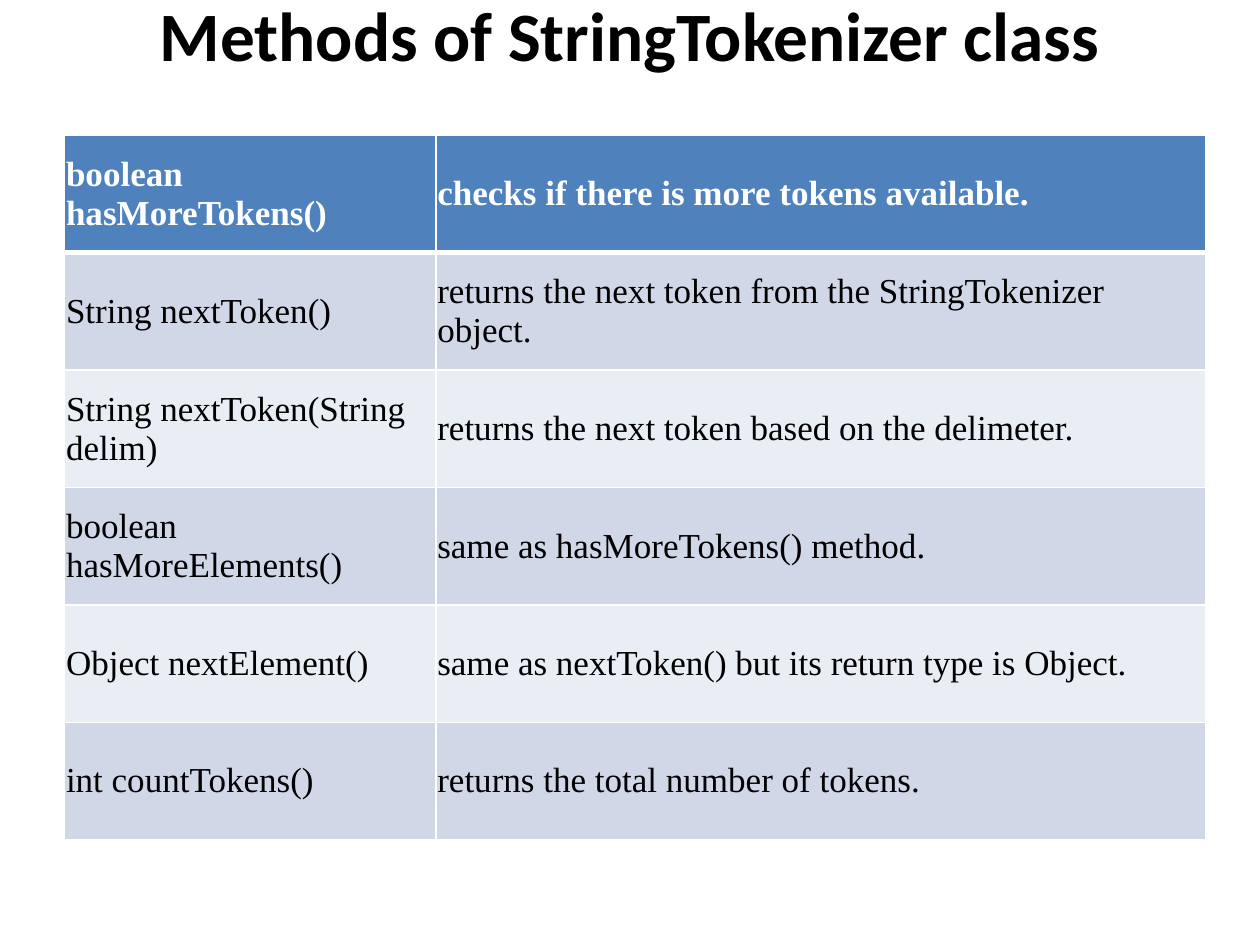
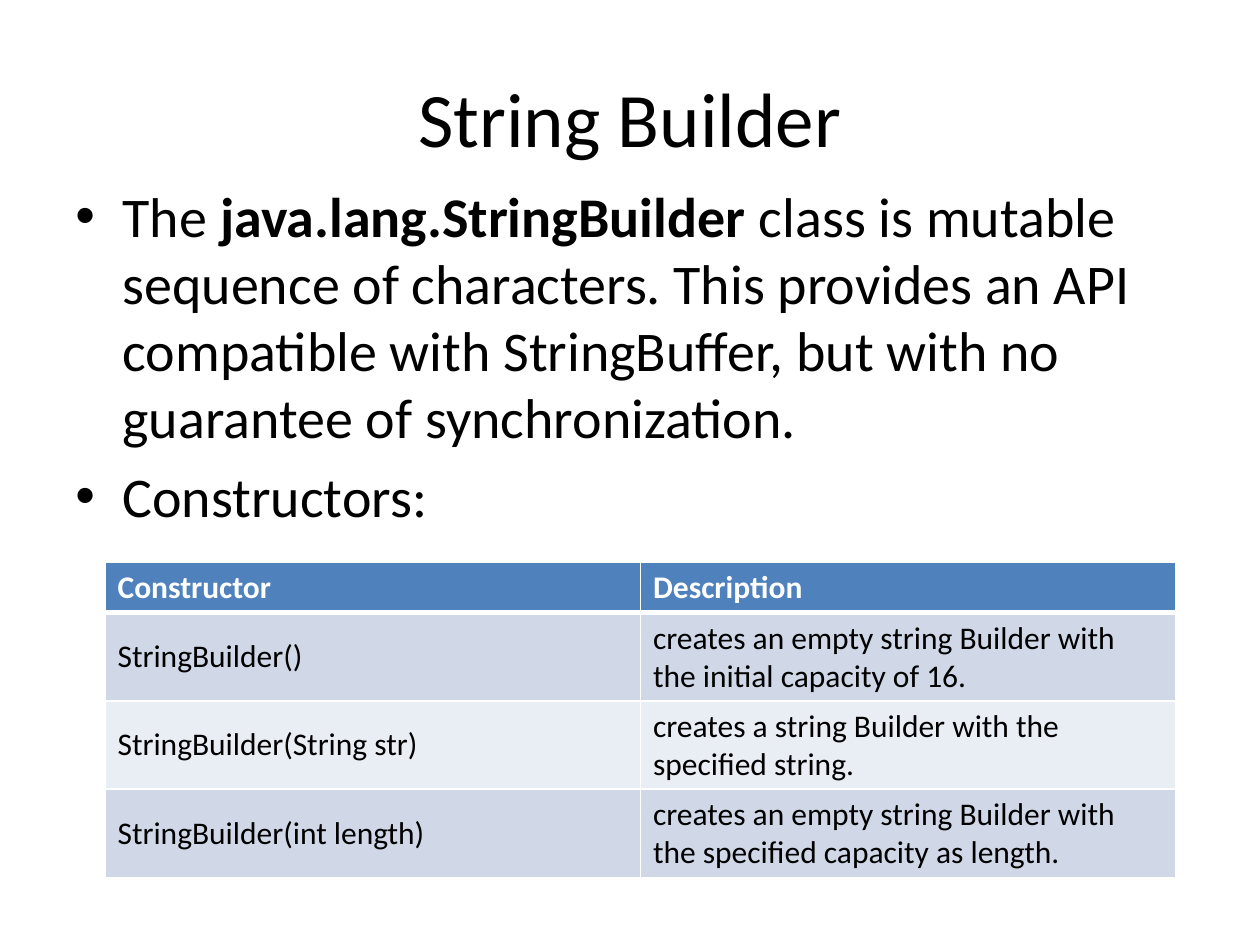
from pptx import Presentation
from pptx.dml.color import RGBColor
from pptx.enum import text as t
from pptx.oxml import parse_xml
from pptx.oxml import ns
from pptx.util import Pt

# Shared style
BLACK = RGBColor(0x00, 0x00, 0x00)
WHITE = RGBColor(0xFF, 0xFF, 0xFF)
HEADER_BLUE = RGBColor(0x4F, 0x81, 0xBD)
BAND_DARK = RGBColor(0xD0, 0xD8, 0xE8)
BAND_LIGHT = RGBColor(0xE9, 0xED, 0xF4)
SANS = "Calibri"
SERIF = "Times New Roman"
MARGIN, CONTENT_WIDTH = 36, 648

# Content
METHODS = [
    ("boolean hasMoreTokens()", "checks if there is more tokens available."),
    ("String nextToken()", "returns the next token from the StringTokenizer object."),
    ("String nextToken(String delim)", "returns the next token based on the delimeter."),
    ("boolean hasMoreElements()", "same as hasMoreTokens() method."),
    ("Object nextElement()", "same as nextToken() but its return type is Object."),
    ("int countTokens()", "returns the total number of tokens."),
]
CONSTRUCTORS = [
    ("Constructor", "Description"),
    ("StringBuilder()",
     "creates an empty string Builder with the initial capacity of 16."),
    ("StringBuilder(String str)",
     "creates a string Builder with the specified string."),
    ("StringBuilder(int length)",
     "creates an empty string Builder with the specified capacity as length."),
]
BUILDER_POINTS = [
    [("The ", False), ("java.lang.StringBuilder", True),
     (" class is mutable sequence of characters. This provides an API compatible "
      "with StringBuffer, but with no guarantee of synchronization.", False)],
    [("Constructors:", False)],
]


def add_run(paragraph, words, size, font=SANS, color=BLACK, bold=False):
    run = paragraph.add_run()
    run.text = words
    run.font.size = Pt(size)
    run.font.name = font
    run.font.color.rgb = color
    run.font.bold = bold


def add_text_frame(slide, top, height, anchor):
    box = slide.shapes.add_textbox(Pt(MARGIN), Pt(top), Pt(CONTENT_WIDTH), Pt(height))
    frame = box.text_frame
    frame.word_wrap = True
    frame.vertical_anchor = anchor
    return frame


def add_title(slide, words, top, height, size, bold=False):
    frame = add_text_frame(slide, top, height, t.MSO_ANCHOR.MIDDLE)
    paragraph = frame.paragraphs[0]
    paragraph.alignment = t.PP_ALIGN.CENTER
    add_run(paragraph, words, size, bold=bold)


def add_bullets(slide, points, top, height, size):
    frame = add_text_frame(slide, top, height, t.MSO_ANCHOR.TOP)
    for index, point in enumerate(points):
        paragraph = frame.add_paragraph() if index else frame.paragraphs[0]
        paragraph.space_before = Pt(0.2 * size)
        properties = paragraph._p.get_or_add_pPr()
        properties.set("marL", str(Pt(27)))
        properties.set("indent", str(Pt(-27)))
        for tag in ('buFont typeface="Arial"', 'buChar char="•"'):
            properties.append(parse_xml(f"<a:{tag} {ns.nsdecls('a')}/>"))
        for words, bold in point:
            add_run(paragraph, words, size, bold=bold)


def set_borders(cell, top=1, bottom=1):
    properties = cell._tc.get_or_add_tcPr()
    widths = {"lnL": 1, "lnR": 1, "lnT": top, "lnB": bottom}
    for position, (side, width) in enumerate(widths.items()):
        properties.insert(position, parse_xml(
            f'<a:{side} {ns.nsdecls("a")} w="{Pt(width)}"><a:solidFill>'
            f'<a:srgbClr val="{WHITE}"/></a:solidFill></a:{side}>'))


def add_banded_table(slide, rows, left, top, widths, heights, size, font, inset=None):
    frame = slide.shapes.add_table(len(rows), len(widths), Pt(left), Pt(top),
                                   Pt(sum(widths)), Pt(sum(heights)))
    table = frame.table
    for column, width in zip(table.columns, widths):
        column.width = Pt(width)
    for index, (values, height) in enumerate(zip(rows, heights)):
        table.rows[index].height = Pt(height)
        header = index == 0
        band = BAND_DARK if index % 2 else BAND_LIGHT
        for cell, words in zip(table.rows[index].cells, values):
            cell.fill.solid()
            cell.fill.fore_color.rgb = HEADER_BLUE if header else band
            set_borders(cell, top=3 if index == 1 else 1, bottom=3 if header else 1)
            cell.vertical_anchor = t.MSO_ANCHOR.MIDDLE
            if inset is not None:
                cell.margin_left = cell.margin_right = Pt(inset)
                cell.margin_top = cell.margin_bottom = Pt(inset)
            add_run(cell.text_frame.paragraphs[0], words, size, font,
                    WHITE if header else BLACK, header)


def main():
    presentation = Presentation()
    presentation.slide_width, presentation.slide_height = Pt(720), Pt(540)
    blank = presentation.slide_layouts[6]

    # Tokenizer methods
    slide = presentation.slides.add_slide(blank)
    add_title(slide, "Methods of StringTokenizer class", 0, 39, 39.6, bold=True)
    add_banded_table(slide, METHODS, 37, 77.3, [212.2, 439.8], [67.1] * 6,
                     20, SERIF, inset=0.75)

    # String builder and its constructors
    slide = presentation.slides.add_slide(blank)
    add_title(slide, "String Builder", 21.6, 90, 44)
    add_bullets(slide, BUILDER_POINTS, 100, 382, 32)
    add_banded_table(slide, CONSTRUCTORS, 60, 321.3, [306, 306],
                     [28.8] + [50.4] * 3, 18, SANS)

    presentation.save("out.pptx")


if __name__ == "__main__":
    main()
